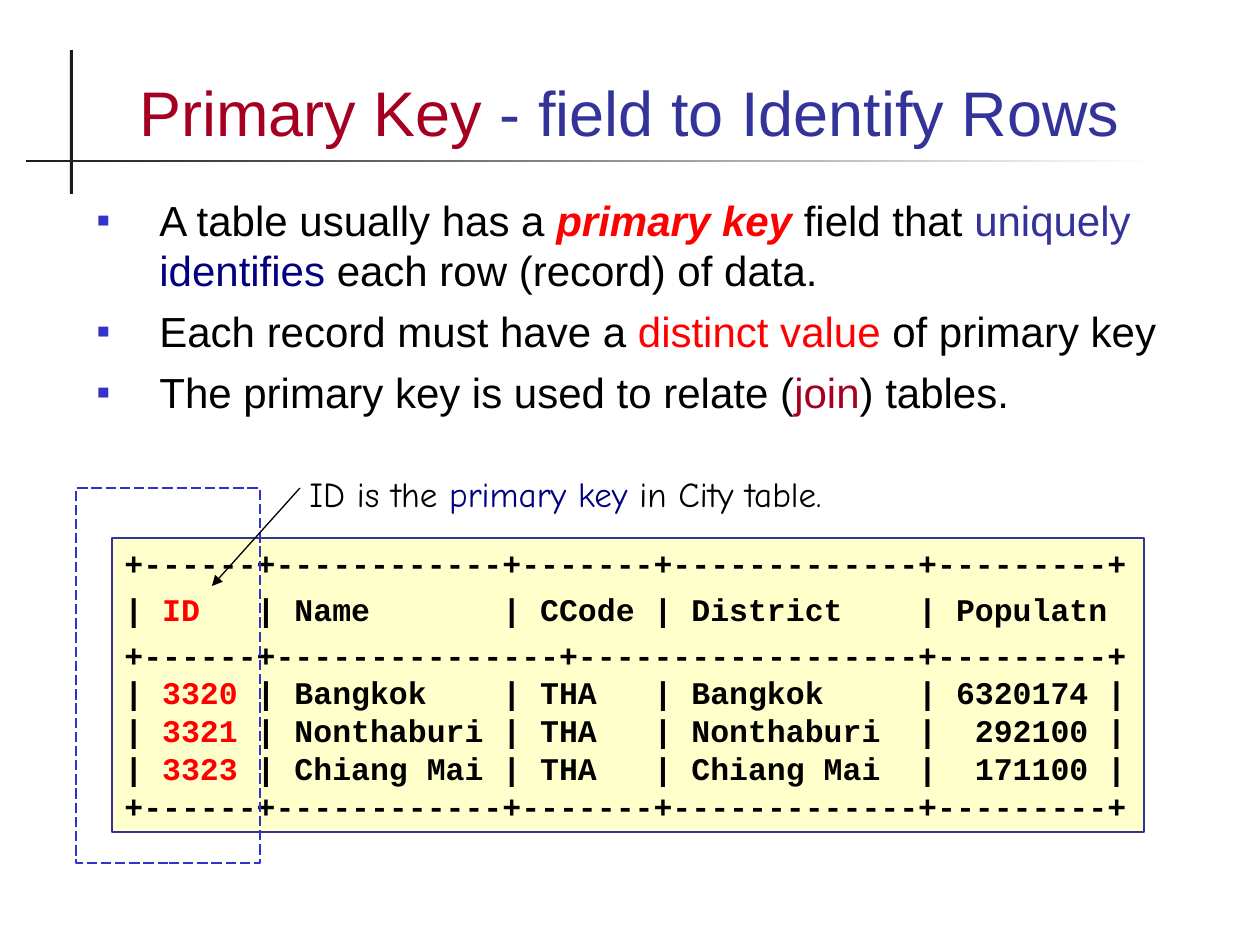
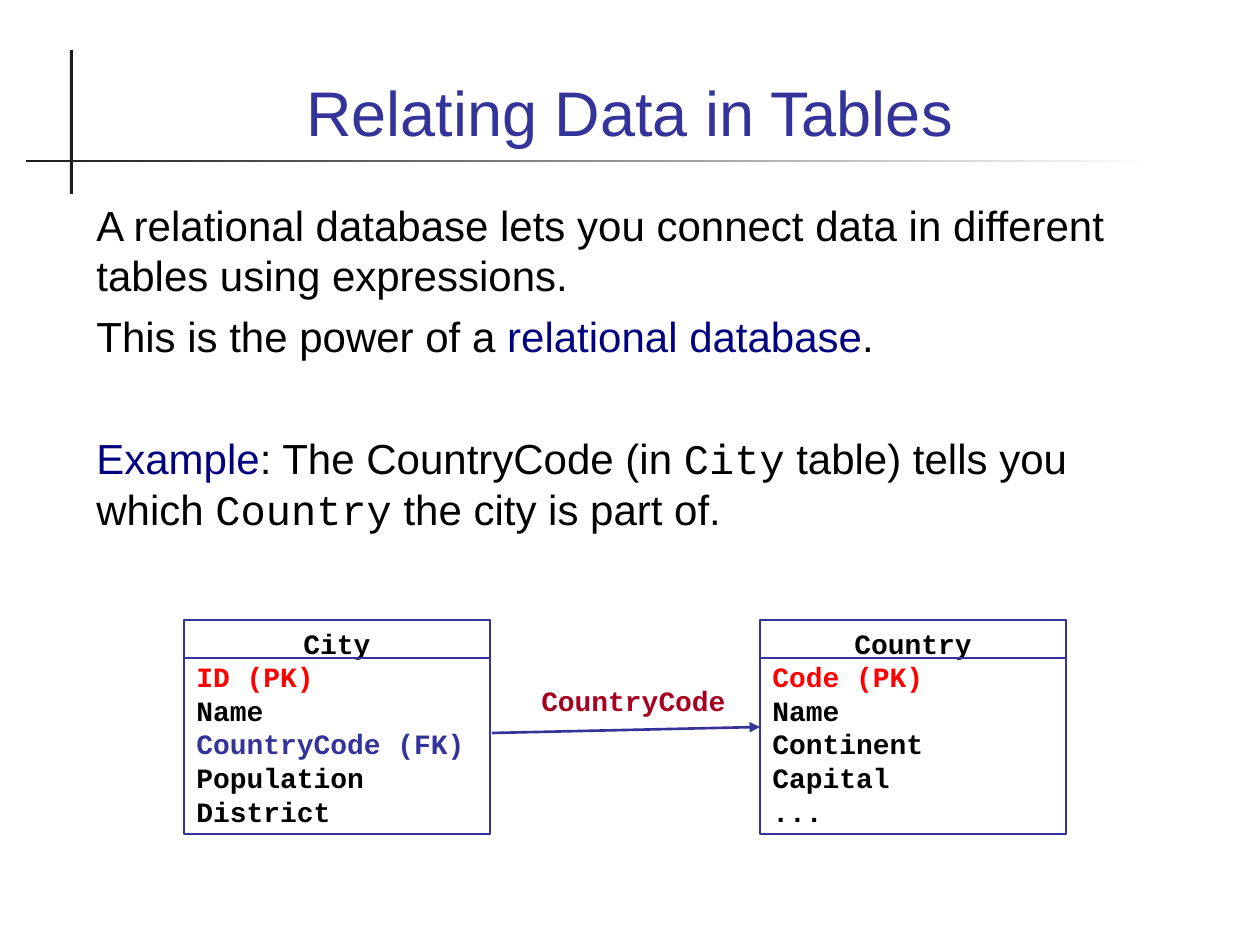
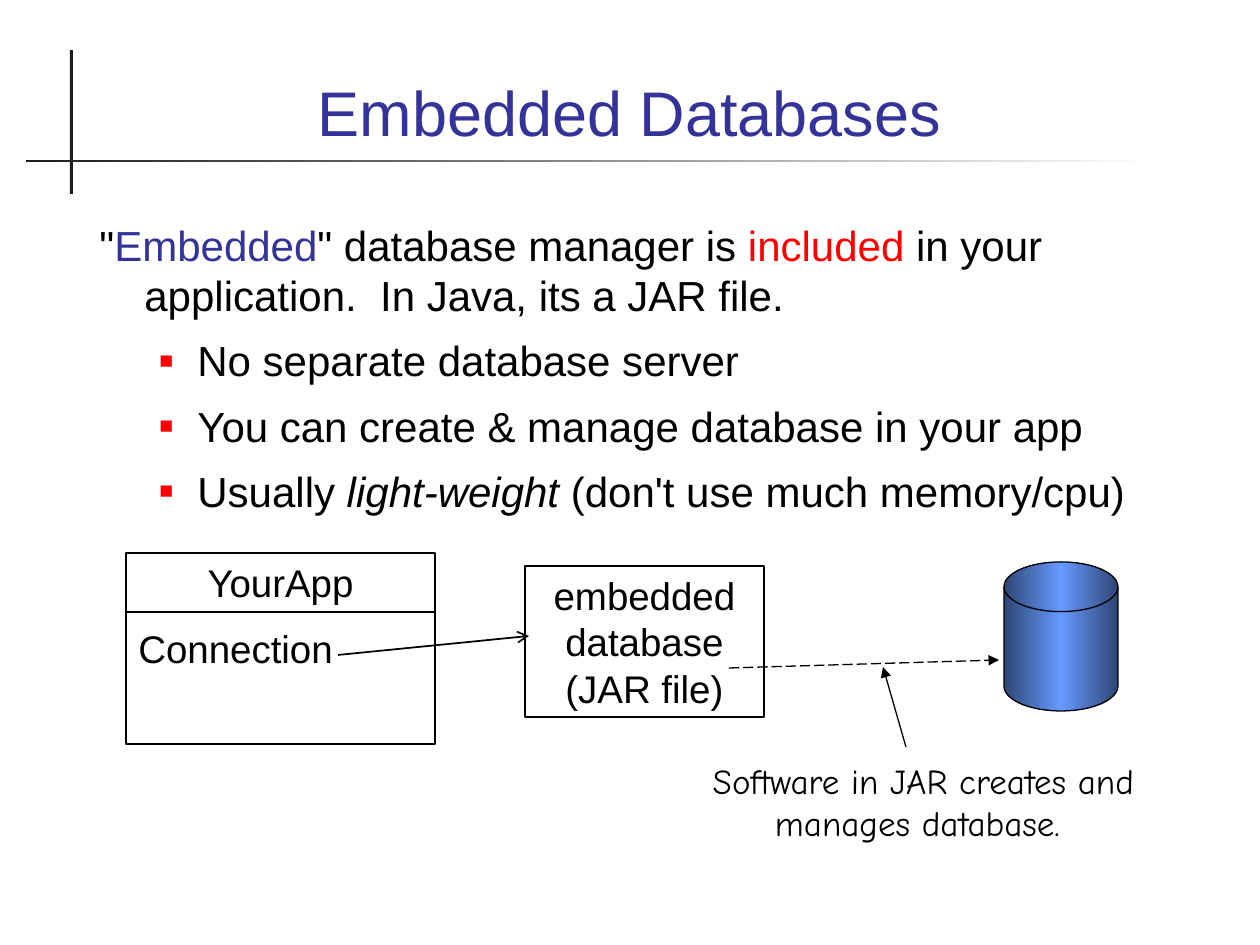
from dataclasses import dataclass
from itertools import zip_longest

from lxml import etree
from pptx import Presentation
from pptx.dml.color import RGBColor
from pptx.enum import dml, shapes, text
from pptx.oxml import ns
from pptx.util import Pt


@dataclass(frozen=True)
class Theme:
    sans: str = "Arial"
    mono: str = "Courier New"
    hand: str = "Comic Neue"
    black: str = "000000"
    blue: str = "333399"
    navy: str = "000080"
    mark: str = "3333CC"
    red: str = "FF0000"
    wine: str = "A50021"
    cream: str = "FFFFCC"
    rule: str = "1C1C1C"
    white: str = "FFFFFF"
    steel: str = "2F4675"
    sky: str = "6699FF"
    head: int = 36
    body: int = 24
    card: int = 22
    note: int = 20
    code: int = 18
    small: int = 16


T = Theme()
SCALE = 914400 / 126
PAGE = (1260, 945)
TITLE = (84, 35, 1091, 120)
UPRIGHT = (70, 50, 3, 144)
LEVEL = (26, 160, 1131, 2)

KEYS = {
    "title": [("Primary Key", T.wine), " - field to Identify Rows"],
    "body": [
        ["A table usually has a ", ("primary key", T.red, "bi"), " field that ",
         ("uniquely ", T.blue), ("identifies", T.navy), " each row (record) of data."],
        ["Each record must have a ", ("distinct value", T.red), " of primary key"],
        ["The primary key is used to relate (", ("join", T.wine), ") tables."],
    ],
    "note": ["ID is the ", ("primary key", T.navy), " in City table."],
    "code": [
        ["+------+------------+-------+-------------+---------+"],
        ["| ", ("ID", T.red), "   | Name       | CCode | District    | Populatn"],
        ["+------+---------------+------------------+---------+"],
        ["| ", ("3320", T.red), " | Bangkok    | THA   | Bangkok     | 6320174 |"],
        ["| ", ("3321", T.red), " | Nonthaburi | THA   | Nonthaburi  |  292100 |"],
        ["| ", ("3323", T.red), " | Chiang Mai | THA   | Chiang Mai  |  171100 |"],
        ["+------+------------+-------+-------------+---------+"],
    ],
}

LINKS = {
    "title": ["Relating Data in Tables"],
    "body": [
        ["A relational database lets you connect data in different "
         "tables using expressions."],
        ["This is the power of a ", ("relational database", T.navy), "."],
        [("Example", T.navy), ": The CountryCode (in ", ("City", T.black, "m"),
         " table) tells you which ", ("Country", T.black, "m"), " the city is part of."],
    ],
    "city": [["City"], [("ID (PK)", T.red)], ["Name"], [("CountryCode (FK)", T.blue)],
             ["Population"], ["District"]],
    "country": [["Country"], [("Code (PK)", T.red)], ["Name"], ["Continent"],
                ["Capital"], ["..."]],
    "label": ["CountryCode"],
}

EMBED = {
    "title": ["Embedded Databases"],
    "body": [
        ['"', ("Embedded", T.blue), '" database manager is ', ("included", T.red),
         " in your application.  In Java, its a JAR file."],
        ["No separate database server"],
        ["You can create & manage database in your app"],
        ["Usually ", ("light-weight ", T.black, "i"), "(don't use much memory/cpu)"],
    ],
    "app": [["YourApp"], ["Connection"]],
    "jar": [["embedded"], ["database"], ["(JAR file)"]],
    "note": ["Software in JAR creates and manages database. "],
}


def px(*nums):
    return [round(n * SCALE) for n in nums]


def rgb(tone):
    return RGBColor.from_string(tone)


def node(home, tag, **attrs):
    return etree.SubElement(home, ns.qn(tag), **attrs)


def write(shape, paras, size, font=T.sans, tone=T.black, bold=False,
          align=text.PP_ALIGN.LEFT, gaps=(), anchor=text.MSO_ANCHOR.TOP):
    frame = shape.text_frame
    frame.word_wrap = True
    frame.vertical_anchor = anchor
    for num, (runs, gap) in enumerate(zip_longest(paras, gaps, fillvalue=0)):
        para = frame.add_paragraph() if num else frame.paragraphs[0]
        para.alignment = align
        para.space_before = Pt(gap)
        for part in runs:
            words, hue, look = ((part, tone, "") if isinstance(part, str)
                                else (*part, "")[:3])
            run = para.add_run()
            run.text = words
            run.font.name = T.mono if "m" in look else font
            run.font.size = Pt(size)
            run.font.bold = bold or "b" in look
            run.font.italic = "i" in look
            run.font.color.rgb = rgb(hue)
    return frame.paragraphs


def indent(para, left, hang, sign=None, tone=T.mark, size=100):
    props = para._p.get_or_add_pPr()
    left, hang = px(left, hang)
    props.set("marL", str(left))
    props.set("indent", str(-hang))
    if sign:
        node(node(props, "a:buClr"), "a:srgbClr", val=tone)
        node(props, "a:buSzPct", val=str(size * 1000))
        node(props, "a:buFont", typeface=T.sans)
        node(props, "a:buChar", char=sign)


def label(slide, spot, paras, size, **style):
    return write(slide.shapes.add_textbox(*px(*spot)), paras, size, **style)


def block(slide, spot, fill=None, line=None, width=0.75,
          kind=shapes.MSO_SHAPE.RECTANGLE):
    shape = slide.shapes.add_shape(kind, *px(*spot))
    shape.shadow.inherit = False
    if fill:
        shape.fill.solid()
        shape.fill.fore_color.rgb = rgb(fill)
    else:
        shape.fill.background()
    if line:
        shape.line.color.rgb = rgb(line)
        shape.line.width = Pt(width)
    else:
        shape.line.fill.background()
    return shape


def blend(shape, *tones):
    shape.fill.gradient()
    grad = shape._element.spPr.find(ns.qn("a:gradFill"))
    for kid in list(grad):
        grad.remove(kid)
    stops = node(grad, "a:gsLst")
    for num, tone in enumerate(tones):
        place = num * 100000 // (len(tones) - 1)
        node(node(stops, "a:gs", pos=str(place)), "a:srgbClr", val=tone)
    node(grad, "a:lin", ang="0", scaled="0")


def link(slide, start, end, tone=T.black, width=0.75, tip=None, dash=False):
    wire = slide.shapes.add_connector(shapes.MSO_CONNECTOR.STRAIGHT, *px(*start, *end))
    wire.line.color.rgb = rgb(tone)
    wire.line.width = Pt(width)
    if dash:
        wire.line.dash_style = dml.MSO_LINE.LONG_DASH
    props = wire._element.spPr
    if tip:
        node(props.find(ns.qn("a:ln")), "a:tailEnd", type=tip)
    node(props, "a:effectLst")
    return wire


def card(slide, spot, rows, drop, size, line, width=0.75, **style):
    left, top, wide, _ = spot
    box = block(slide, spot, line=line, width=width)
    paras = write(box, rows, size, **style)
    paras[0].alignment = text.PP_ALIGN.CENTER
    link(slide, (left, top + drop), (left + wide, top + drop), line)
    return box


def start(deck, title):
    slide = deck.slides.add_slide(deck.slide_layouts[6])
    block(slide, UPRIGHT, T.rule)
    blend(block(slide, LEVEL), T.rule, T.white)
    label(slide, TITLE, [title], T.head, tone=T.blue,
          align=text.PP_ALIGN.CENTER, anchor=text.MSO_ANCHOR.BOTTOM)
    return slide


def keys(deck):
    slide = start(deck, KEYS["title"])
    for para in label(slide, (84, 188, 1091, 358), KEYS["body"], T.body, gaps=(0, 6, 6)):
        indent(para, 63, 63, "▪", T.mark, 95)
    grid = block(slide, (112, 538, 1032, 294), T.cream, T.blue)
    write(grid, KEYS["code"], T.code, font=T.mono, bold=True, gaps=(0, 4.5, 4.5))
    frame = block(slide, (76, 488, 184, 375), line=T.mark)
    frame.line.dash_style = dml.MSO_LINE.LONG_DASH
    label(slide, (297, 466, 630, 55), [KEYS["note"]], T.note, font=T.hand)
    link(slide, (300, 488), (212, 586), tip="triangle")


def links(deck):
    slide = start(deck, LINKS["title"])
    label(slide, (84, 193, 1091, 425), LINKS["body"], T.body, gaps=(0, 6, 41))
    city, country = (
        card(slide, (left, 620, 306, 214), LINKS[name], 38, T.small, T.blue, 1,
             font=T.mono, bold=True)
        for left, name in ((184, "city"), (760, "country")))
    wire = link(slide, (492, 733), (760, 727), T.blue, 1.5, "triangle")
    wire.end_connect(country, 1)
    label(slide, (504, 677, 234, 47), [LINKS["label"]], T.small, font=T.mono,
          tone=T.wine, bold=True, align=text.PP_ALIGN.RIGHT)


def embed(deck):
    slide = start(deck, EMBED["title"])
    lead, *rest = label(slide, (84, 213, 1091, 615), EMBED["body"], T.body,
                        gaps=(0, 8.5, 8.5, 8.5))
    indent(lead, 48, 45)
    for para in rest:
        indent(para, 101, 38, "■", T.red, 55)
    card(slide, (126, 553, 309, 191), EMBED["app"], 59, T.card, T.black, gaps=(0, 11.2))
    jar = block(slide, (525, 566, 239, 151), line=T.black)
    write(jar, EMBED["jar"], T.card, align=text.PP_ALIGN.CENTER)
    link(slide, (729, 668), (999, 660), tip="triangle", dash=True)
    link(slide, (338, 655), (529, 636), width=1, tip="arrow")
    disk = block(slide, (1004, 562, 114, 149), line=T.black,
                 kind=shapes.MSO_SHAPE.FLOWCHART_MAGNETIC_DISK)
    blend(disk, T.steel, T.sky, T.steel)
    label(slide, (696, 753, 455, 97), [EMBED["note"]], T.note, font=T.hand,
          align=text.PP_ALIGN.CENTER)
    link(slide, (906, 747), (883, 667), tip="triangle")


def main():
    deck = Presentation()
    deck.slide_width, deck.slide_height = px(*PAGE)
    for make in (keys, links, embed):
        make(deck)
    deck.save("out.pptx")


if __name__ == "__main__":
    main()
